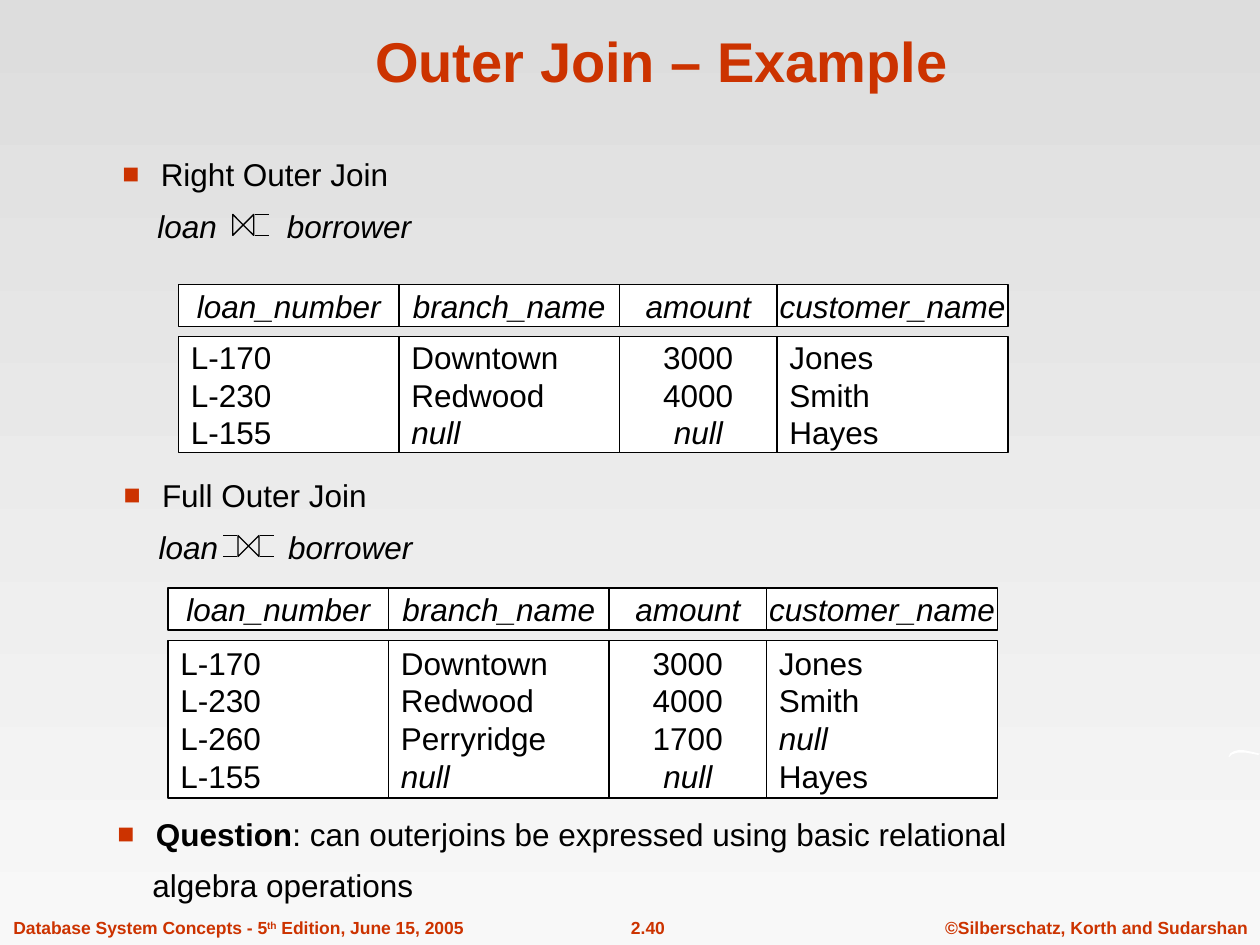
from lxml.etree import SubElement
from pptx import Presentation
from pptx.dml.color import RGBColor
from pptx.enum.shapes import MSO_CONNECTOR, MSO_SHAPE
from pptx.enum.text import MSO_ANCHOR, PP_ALIGN
from pptx.oxml.ns import qn
from pptx.util import Pt

RED = RGBColor(0xCC, 0x33, 0x00)
BLACK = RGBColor(0, 0, 0)
WHITE = RGBColor(0xFF, 0xFF, 0xFF)
BG_TOP = RGBColor(0xDD, 0xDD, 0xDD)
BG_BOTTOM = RGBColor(0xF8, 0xF8, 0xF8)

COLUMNS = [("loan_number", 126), ("branch_name", 126), ("amount", 90), ("customer_name", 132)]
RIGHT_JOIN = [
    ("L-170", "Downtown", "3000", "Jones"),
    ("L-230", "Redwood", "4000", "Smith"),
    ("L-155", "null", "null", "Hayes"),
]
FULL_JOIN = [
    *RIGHT_JOIN[:2],
    ("L-260", "Perryridge", "1700", "null"),
    RIGHT_JOIN[2],
]


def set_font(font, size, color, bold=False, italic=False):
    font.name = "Arial"
    font.size = Pt(size)
    font.color.rgb = color
    font.bold = bold
    font.italic = italic


def add_text(p, text, size, color, bold=False, italic=False):
    r = p.add_run()
    r.text = text
    set_font(r.font, size, color, bold, italic)
    return r


def add_box(s, x, y, w, h):
    tf = s.shapes.add_textbox(Pt(x), Pt(y), Pt(w), Pt(h)).text_frame
    tf.word_wrap = True
    return tf


def set_background(s):
    fill = s.background.fill
    fill.gradient()
    fill.gradient_angle = 270
    for stop, color in zip(fill.gradient_stops, (BG_TOP, BG_BOTTOM)):
        stop.color.rgb = color


def set_title(s, x, y, w, h):
    title = s.shapes.title
    title.left, title.top, title.width, title.height = Pt(x), Pt(y), Pt(w), Pt(h)
    tf = title.text_frame
    tf.text = "Outer Join – Example"
    tf.vertical_anchor = MSO_ANCHOR.BOTTOM
    p = tf.paragraphs[0]
    p.alignment = PP_ALIGN.CENTER
    set_font(p.runs[0].font, 32, RED, bold=True)


def add_footer(s, x, y, w, h):
    edition_w, number_w, credit_w = 275, 70.5, 187
    parts = [
        (x, edition_w, PP_ALIGN.LEFT,
         ["Database System Concepts - 5", "th", " Edition, June 15, 2005"]),
        (x + 334.5, number_w, PP_ALIGN.CENTER, ["2.40"]),
        (x + w - credit_w, credit_w, PP_ALIGN.RIGHT, ["©Silberschatz, Korth and Sudarshan"]),
    ]
    for left, width, align, texts in parts:
        tf = add_box(s, left, y, width, h)
        tf.vertical_anchor = MSO_ANCHOR.MIDDLE
        p = tf.paragraphs[0]
        p.alignment = align
        for text in texts:
            r = add_text(p, text, 10, RED, bold=True)
            if text == "th":
                r.font._element.set("baseline", "30000")


def add_swoosh(s, x, y):
    points = [(0, 4), (1, 2), (3, 0.8), (6, 0), (9, 0.2), (13, 1), (18, 2.2),
              (17, 2.9), (14, 2.3), (10, 1.6), (5, 1.6), (2, 2.6), (0.5, 4)]
    outline = [(Pt(x + dx), Pt(y + dy)) for dx, dy in points]
    builder = s.shapes.build_freeform(*outline[0])
    builder.add_line_segments(outline[1:], close=True)
    sp = builder.convert_to_shape()
    sp.shadow.inherit = False
    sp.fill.solid()
    sp.fill.fore_color.rgb = WHITE
    sp.line.fill.background()


def add_cell(s, x, y, w, h, values, centred, header=False):
    sp = s.shapes.add_shape(MSO_SHAPE.RECTANGLE, Pt(x), Pt(y), Pt(w), Pt(h))
    sp.shadow.inherit = False
    sp.fill.solid()
    sp.fill.fore_color.rgb = WHITE
    sp.line.color.rgb = BLACK
    sp.line.width = Pt(0.75)
    tf = sp.text_frame
    tf.word_wrap = False
    tf.vertical_anchor = MSO_ANCHOR.MIDDLE
    tf.text = "\n".join(values)
    for p in tf.paragraphs:
        p.alignment = PP_ALIGN.CENTER if centred else PP_ALIGN.LEFT
        r = p.runs[0]
        set_font(r.font, 18, BLACK, italic=header or r.text == "null")


def add_relation(s, x, y, h, rows):
    head_h, gap = 24, 6
    body_y, body_h = y + head_h + gap, h - head_h - gap
    for (name, w), values in zip(COLUMNS, zip(*rows)):
        add_cell(s, x, y, w, head_h, [name], True, header=True)
        add_cell(s, x, body_y, w, body_h, values, name == "amount")
        x += w


def add_bullet(s, x, y, w, h, runs):
    tf = add_box(s, x, y, w, h)
    p = tf.paragraphs[0]
    pPr = p._p.get_or_add_pPr()
    pPr.set("marL", str(Pt(22)))
    pPr.set("indent", str(-Pt(22)))
    SubElement(SubElement(pPr, qn("a:buClr")), qn("a:srgbClr"), val=str(RED))
    SubElement(pPr, qn("a:buSzPct"), val="90000")
    SubElement(pPr, qn("a:buFont"), typeface="Arial")
    SubElement(pPr, qn("a:buChar"), char="■")
    for text, bold in runs:
        add_text(p, text, 18, BLACK, bold=bold)
    p = tf.add_paragraph()
    p.space_before = Pt(7.9)
    pPr = p._p.get_or_add_pPr()
    pPr.set("marL", str(Pt(20)))
    pPr.set("indent", "0")
    return p


def add_join(s, x, y, w, h, name, symbol_x, full=False):
    p = add_bullet(s, x, y, w, h, [(name, False)])
    add_text(p, "loan", 18, BLACK, italic=True)
    gap = add_text(p, " ", 18, BLACK, italic=True)
    gap.font._element.set("spc", "3500")
    add_text(p, "borrower", 18, BLACK, italic=True)
    size, arm = 12, 8
    top = y + 37.5
    sp = s.shapes.add_shape(
        MSO_SHAPE.FLOWCHART_COLLATE, Pt(symbol_x), Pt(top), Pt(size), Pt(size))
    sp.rotation = 270
    sp.shadow.inherit = False
    sp.fill.background()
    sp.line.color.rgb = BLACK
    sp.line.width = Pt(0.75)
    starts = [symbol_x + size + 0.5] + ([symbol_x - arm - 0.5] if full else [])
    for start in starts:
        for line_y in (top, top + size):
            line = s.shapes.add_connector(
                MSO_CONNECTOR.STRAIGHT, Pt(start), Pt(line_y), Pt(start + arm), Pt(line_y))
            line.line.color.rgb = BLACK
            line.line.width = Pt(0.75)
            SubElement(line._element.spPr, qn("a:effectLst"))


def add_question(s, x, y, w, h):
    p = add_bullet(s, x, y, w, h, [
        ("Question", True), (": can outerjoins be expressed using basic relational", False)])
    add_text(p, "algebra operations", 18, BLACK)


def main():
    prs = Presentation()
    prs.slide_width, prs.slide_height = Pt(720), Pt(540)
    s = prs.slides.add_slide(prs.slide_layouts[5])
    set_background(s)
    add_footer(s, 0.5, 520.5, 719.5, 19.5)
    add_swoosh(s, 702, 428.5)
    set_title(s, 60.5, 9, 635.5, 48)
    add_relation(s, 102, 162.5, 96, RIGHT_JOIN)
    add_relation(s, 96, 336, 120, FULL_JOIN)
    add_join(s, 63.5, 268.5, 320, 58, "Full Outer Join", 136, full=True)
    add_join(s, 62.8, 85, 320, 58, "Right Outer Join", 133)
    add_question(s, 60, 462, 570, 58)
    prs.save("out.pptx")


if __name__ == "__main__":
    main()
